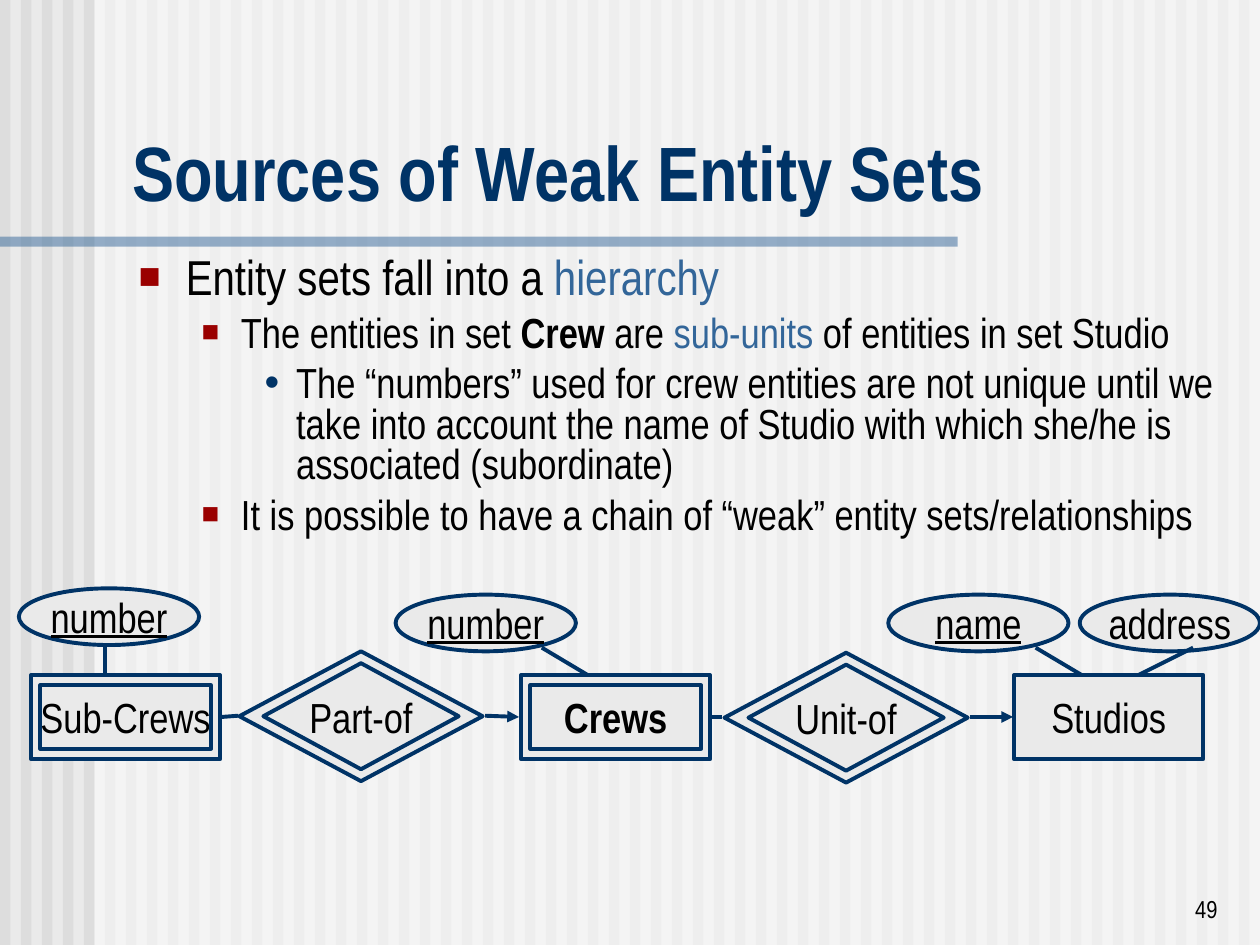
"""Build the slide on sources of weak entity sets."""
from dataclasses import dataclass
from typing import Any

from lxml import etree
from pptx import Presentation
from pptx import util as u
from pptx.dml.color import RGBColor
from pptx.enum import shapes, text
from pptx.oxml import ns

NAVY = RGBColor(0x00, 0x33, 0x66)
BLUE = RGBColor(0x33, 0x66, 0x99)
RED = RGBColor(0x9A, 0x00, 0x00)
BLACK = RGBColor(0x00, 0x00, 0x00)
WHITE = RGBColor(0xFF, 0xFF, 0xFF)
PALE = RGBColor(0xEA, 0xEA, 0xEA)
STRIPE = RGBColor(0xDD, 0xDD, 0xDD)
FONT = "Arial Narrow"

KIND = shapes.MSO_SHAPE
OVAL, BOX, DIAMOND = KIND.OVAL, KIND.RECTANGLE, KIND.DIAMOND
SIZES = {OVAL: (103, 32.4), BOX: (108, 48.2), DIAMOND: (139, 74.2)}
INSETS = {BOX: (5.2, 6), DIAMOND: (13.7, 6.8)}


@dataclass
class Node:
    label: str
    kind: Any
    left: float
    top: float
    double: bool = False
    bold: bool = False
    underline: bool = False


@dataclass
class Link:
    start: tuple[float, float]
    end: tuple[float, float]
    arrow: bool = False


@dataclass
class Level:
    indent: float
    hanging: float
    bullet: str
    bullet_color: RGBColor
    bullet_size: int
    font_size: float
    before: float


@dataclass
class Span:
    words: str
    color: RGBColor = BLACK
    bold: bool = False


ATTRIBUTES = [
    Node("number", OVAL, 10.8, 336.2, underline=True),
    Node("number", OVAL, 226.1, 339.8, underline=True),
    Node("name", OVAL, 507.6, 339.8, underline=True),
    Node("address", OVAL, 617, 339.8),
]
ENTITIES = [
    Node("Sub-Crews", BOX, 17.8, 385.7, double=True),
    Node("Part-of", DIAMOND, 136.8, 372.2, double=True),
    Node("Crews", BOX, 297.8, 385.7, double=True, bold=True),
    Node("Unit-of", DIAMOND, 414, 373, double=True),
    Node("Studios", BOX, 579.6, 385.7),
]
LINKS = [
    Link((59.8, 368.6), (59.8, 393.8)),
    Link((309.6, 370.1), (339.8, 388.1)),
    Link((591.8, 370.1), (622.1, 388.1)),
    Link((681.8, 370.1), (645.8, 388.1)),
    Link((136.1, 409), (126.7, 409.7)),
    Link((277.2, 409), (296.6, 409.7), arrow=True),
    Link((412.6, 409.7), (406.8, 409.7)),
    Link((554.4, 409.7), (578.9, 409.7), arrow=True),
]
LEVELS = [
    Level(27, 27, "■", RED, 75, 28, 7),
    Level(58.5, 22.5, "■", RED, 70, 24, 6),
    Level(90, 18, "•", NAVY, 100, 24, 6),
]
POINTS = [
    (0, [Span("Entity sets fall into a "), Span("hierarchy", BLUE)]),
    (1, [Span("The entities in set "), Span("Crew", bold=True), Span(" are "),
         Span("sub-units", BLUE), Span(" of entities in set Studio")]),
    (2, [Span("The “numbers” used for crew entities are not unique until we take into "
              "account the name of Studio with which she/he is associated (subordinate)")]),
    (1, [Span("It is possible to have a chain of “weak” entity sets/relationships")]),
]


def assign(target: Any, values: dict[str, Any]) -> None:
    for name, value in values.items():
        setattr(target, name, value)


def place(shape: Any, left: float, top: float, width: float, height: float) -> None:
    assign(shape, {"left": u.Pt(left), "top": u.Pt(top),
                   "width": u.Pt(width), "height": u.Pt(height)})


def add_span(para: Any, words: str, size: float, color: RGBColor = BLACK, **extra: Any) -> None:
    span = para.add_run()
    span.text = words
    assign(span.font, {"name": FONT, "size": u.Pt(size), **extra})
    span.font.color.rgb = color


def add_child(parent: Any, tag: str, **attributes: str) -> Any:
    return etree.SubElement(parent, ns.qn(tag), **attributes)


def add_band(page: Any, left: float, top: float, width: float, height: float,
             color: RGBColor, alpha: int = 100) -> None:
    band = page.shapes.add_shape(BOX, *map(u.Pt, (left, top, width, height)))
    band.shadow.inherit = False
    band.line.fill.background()
    band.fill.solid()
    band.fill.fore_color.rgb = color
    if alpha < 100:
        add_child(band.fill._xPr.find(ns.qn("a:solidFill"))[0], "a:alpha", val=str(alpha * 1000))


def add_outline(page: Any, kind: Any, left: float, top: float, width: float, height: float) -> Any:
    shape = page.shapes.add_shape(kind, *map(u.Pt, (left, top, width, height)))
    shape.shadow.inherit = False
    shape.fill.background()
    shape.line.color.rgb = NAVY
    shape.line.width = u.Pt(2.25)
    return shape


def add_node(page: Any, node: Node) -> None:
    width, height = SIZES[node.kind]
    shape = add_outline(page, node.kind, node.left, node.top, width, height)
    shape.fill.solid()
    shape.fill.fore_color.rgb = PALE
    assign(shape.text_frame, {"word_wrap": False, "vertical_anchor": text.MSO_ANCHOR.MIDDLE})
    para = shape.text_frame.paragraphs[0]
    para.alignment = text.PP_ALIGN.CENTER
    add_span(para, node.label, 24, bold=node.bold, underline=node.underline)
    if node.double:
        across, down = INSETS[node.kind]
        add_outline(page, node.kind, node.left + across, node.top + down,
                    width - 2 * across, height - 2 * down)


def add_link(page: Any, link: Link) -> None:
    line = page.shapes.add_connector(shapes.MSO_CONNECTOR.STRAIGHT,
                                     *map(u.Pt, link.start + link.end))
    line.line.color.rgb = NAVY
    line.line.width = u.Pt(2.25)
    if link.arrow:
        add_child(line.line._get_or_add_ln(), "a:tailEnd", type="triangle")
    add_child(line._element.spPr, "a:effectLst")


def add_point(para: Any, depth: int, spans: list[Span], first: bool) -> None:
    level = LEVELS[depth]
    properties = para._p.get_or_add_pPr()
    properties.set("marL", str(u.Pt(level.indent)))
    properties.set("indent", str(-u.Pt(level.hanging)))
    add_child(add_child(properties, "a:buClr"), "a:srgbClr", val=str(level.bullet_color))
    add_child(properties, "a:buSzPct", val=str(level.bullet_size * 1000))
    add_child(properties, "a:buFont", typeface="Arial")
    add_child(properties, "a:buChar", char=level.bullet)
    assign(para, {"level": depth, "line_spacing": 0.8,
                  "space_before": u.Pt(0 if first else level.before)})
    for span in spans:
        add_span(para, span.words, level.font_size, span.color, bold=span.bold)


def main() -> None:
    deck = Presentation()
    assign(deck, {"slide_width": u.Pt(720), "slide_height": u.Pt(540)})
    page = deck.slides.add_slide(deck.slide_layouts[1])
    page.background.fill.solid()
    page.background.fill.fore_color.rgb = PALE
    title, body = page.placeholders

    for column in range(60):
        add_band(page, column * 12, 0, 6, 540, STRIPE)
    add_band(page, 54, 0, 666, 540, WHITE, 50)
    add_band(page, 0, 135.2, 547.2, 5.8, BLUE, 50)

    for holder in (title, body):
        page.shapes._spTree.append(holder._element)
        holder.text_frame.auto_size = text.MSO_AUTO_SIZE.NONE
    place(title, 68.4, 67.7, 643, 59.8)
    title.text_frame.vertical_anchor = text.MSO_ANCHOR.BOTTOM
    heading = title.text_frame.paragraphs[0]
    heading.alignment = text.PP_ALIGN.LEFT
    add_span(heading, "Sources of Weak Entity Sets", 44, NAVY, bold=True)

    place(body, 72, 144, 638.6, 180)
    for index, (depth, spans) in enumerate(POINTS):
        para = body.text_frame.add_paragraph() if index else body.text_frame.paragraphs[0]
        add_point(para, depth, spans, index == 0)

    for items, draw in ((ATTRIBUTES, add_node), (LINKS, add_link), (ENTITIES, add_node)):
        for item in items:
            draw(page, item)

    number = page.shapes.add_textbox(*map(u.Pt, (553, 495.4, 149.8, 36)))
    assign(number.text_frame, {"word_wrap": True, "vertical_anchor": text.MSO_ANCHOR.BOTTOM})
    number.text_frame.paragraphs[0].alignment = text.PP_ALIGN.RIGHT
    add_span(number.text_frame.paragraphs[0], "49", 14)
    deck.save("out.pptx")


if __name__ == "__main__":
    main()
